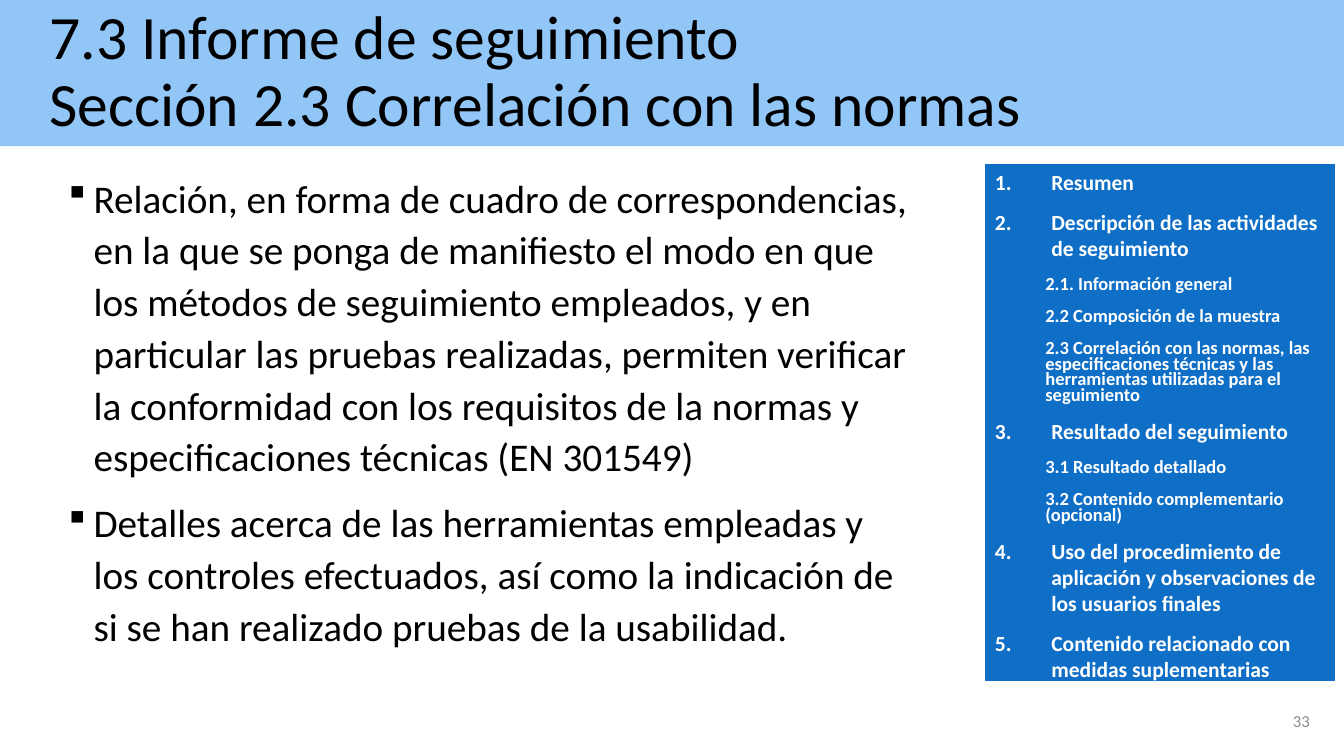
from lxml.etree import SubElement
from pptx import Presentation
from pptx.dml.color import RGBColor
from pptx.enum.shapes import MSO_SHAPE as Shape
from pptx.enum.text import MSO_ANCHOR as Anchor, MSO_AUTO_SIZE as AutoSize, PP_ALIGN as Align
from pptx.oxml.ns import qn
from pptx.util import Inches, Pt

WIDTH, HEIGHT = 13.33, 7.5
CONTENT_TOP = 1.63
FONT = "Calibri"
BLACK = RGBColor(0x00, 0x00, 0x00)
WHITE = RGBColor(0xFF, 0xFF, 0xFF)
GREY = RGBColor(0x8C, 0x8C, 0x8C)
SKY = RGBColor(0x91, 0xC6, 0xF7)
BLUE = RGBColor(0x0F, 0x6F, 0xC6)
SQUARE = [("a:buFont", {"typeface": "Wingdings"}), ("a:buChar", {"char": "§"})]
NUMBER = [("a:buAutoNum", {"type": "arabicPeriod"})]

HEADING = "7.3 Informe de seguimiento\vSección 2.3 Correlación con las normas"
POINTS = [
    "Relación, en forma de cuadro de correspondencias, en la que se ponga de "
    "manifiesto el modo en que los métodos de seguimiento empleados, y en particular "
    "las pruebas realizadas, permiten verificar la conformidad con los requisitos de "
    "la normas y especificaciones técnicas (EN 301549)",
    "Detalles acerca de las herramientas empleadas y los controles efectuados, así "
    "como la indicación de si se han realizado pruebas de la usabilidad.",
]
OUTLINE = [
    ("Resumen", []),
    ("Descripción de las actividades de seguimiento", [
        "2.1. Información general",
        "2.2 Composición de la muestra",
        "2.3 Correlación con las normas, las especificaciones técnicas y las "
        "herramientas utilizadas para el seguimiento",
    ]),
    ("Resultado del seguimiento", [
        "3.1 Resultado detallado",
        "3.2 Contenido complementario (opcional)",
    ]),
    ("Uso del procedimiento de aplicación y observaciones de los usuarios finales", []),
    ("Contenido relacionado con medidas suplementarias", []),
]


def box(left, top, width, height):
    return [Inches(length) for length in (left, top, width, height)]


def prepare(frame, anchor=Anchor.TOP):
    frame.word_wrap = True
    frame.auto_size = AutoSize.NONE
    frame.vertical_anchor = anchor
    return frame


def write(frame, text, size, color, bold=False, align=Align.LEFT, spacing=1.0,
          before=0, level=0, margin=0, indent=0, bullet=()):
    first = frame.paragraphs[0]
    paragraph = frame.add_paragraph() if first.text else first
    paragraph.text = text
    paragraph.level = level
    paragraph.alignment = align
    paragraph.line_spacing = spacing
    paragraph.space_before = Pt(before)
    font = paragraph.font
    font.name, font.size, font.bold = FONT, Pt(size), bold
    font.color.rgb = color
    properties = paragraph._p.get_or_add_pPr()
    properties.set("marL", str(Inches(margin)))
    properties.set("indent", str(Inches(indent)))
    for tag, attributes in bullet:
        mark = SubElement(properties, qn(tag), attributes)
        properties.find(qn("a:defRPr")).addprevious(mark)


def add_heading(slide):
    heading = slide.shapes.title
    heading.left, heading.top, heading.width, heading.height = box(0, 0, WIDTH, 1.45)
    heading.fill.solid()
    heading.fill.fore_color.rgb = SKY
    frame = prepare(heading.text_frame, Anchor.MIDDLE)
    write(frame, HEADING, 44, BLACK, spacing=0.9, margin=0.39)


def add_points(slide):
    points = slide.shapes.add_textbox(*box(0.58, CONTENT_TOP, 8.53, 5.14))
    frame = prepare(points.text_frame)
    for point in POINTS:
        write(frame, point, 28, BLACK, spacing=1.1, before=10, margin=0.25,
              indent=-0.25, bullet=SQUARE)


def add_page_number(slide):
    number = slide.shapes.add_textbox(*box(10.09, 6.95, 3, 0.4))
    write(prepare(number.text_frame, Anchor.MIDDLE), "33", 12, GREY, align=Align.RIGHT)


def add_outline(slide):
    panel = slide.shapes.add_shape(Shape.RECTANGLE, *box(9.77, CONTENT_TOP, 3.47, 5.12))
    panel.shadow.inherit = False
    panel.fill.solid()
    panel.fill.fore_color.rgb = BLUE
    panel.line.color.rgb = BLUE
    panel.line.width = Pt(0.75)
    frame = prepare(panel.text_frame)
    for section, subsections in OUTLINE:
        write(frame, section, 15.4, WHITE, bold=True, before=10, margin=0.56,
              indent=-0.56, bullet=NUMBER)
        for subsection in subsections:
            write(frame, subsection, 13.2, WHITE, bold=True, spacing=0.7, before=12,
                  level=1, margin=0.5)


def main():
    deck = Presentation()
    deck.slide_width, deck.slide_height = Inches(WIDTH), Inches(HEIGHT)
    slide = deck.slides.add_slide(deck.slide_layouts[5])
    add_heading(slide)
    add_points(slide)
    add_page_number(slide)
    add_outline(slide)
    deck.save("out.pptx")


if __name__ == "__main__":
    main()
